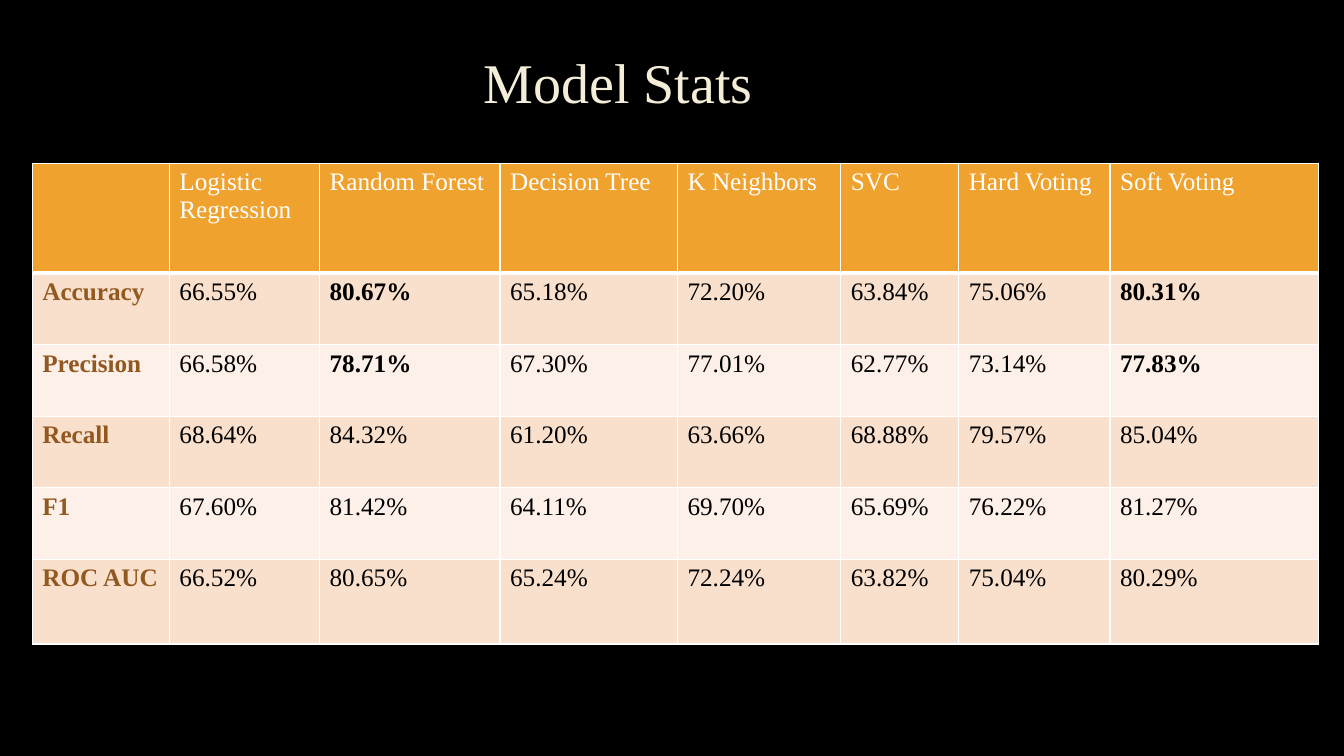
from dataclasses import dataclass

from lxml import etree
from pptx import Presentation
from pptx.dml.color import RGBColor
from pptx.enum import text
from pptx.oxml import ns
from pptx.util import Inches, Pt

BLACK = RGBColor(0x00, 0x00, 0x00)
WHITE = RGBColor(0xFF, 0xFF, 0xFF)
CREAM = RGBColor(0xF4, 0xED, 0xD8)
ORANGE = RGBColor(0xF0, 0xA2, 0x2E)
BROWN = RGBColor(0x91, 0x58, 0x1F)
PEACH = RGBColor(0xF9, 0xE0, 0xCD)
PALE_PEACH = RGBColor(0xFC, 0xF0, 0xE8)

FONT = "Times New Roman"
COLUMN_WIDTHS = (1.36, 1.49, 1.79, 1.76, 1.62, 1.17, 1.5, 2.07)
ROW_HEIGHTS = (1.09, 0.71, 0.71, 0.71, 0.71, 0.84)
MODELS = ("Logistic Regression", "Random Forest", "Decision Tree", "K Neighbors",
          "SVC", "Hard Voting", "Soft Voting")


@dataclass(frozen=True)
class Metric:
    name: str
    scores: tuple[float, ...]
    highlighted: tuple[str, ...] = ()


BEST_MODELS = ("Random Forest", "Soft Voting")
METRICS = (
    Metric("Accuracy", (66.55, 80.67, 65.18, 72.20, 63.84, 75.06, 80.31), BEST_MODELS),
    Metric("Precision", (66.58, 78.71, 67.30, 77.01, 62.77, 73.14, 77.83), BEST_MODELS),
    Metric("Recall", (68.64, 84.32, 61.20, 63.66, 68.88, 79.57, 85.04)),
    Metric("F1", (67.60, 81.42, 64.11, 69.70, 65.69, 76.22, 81.27)),
    Metric("ROC AUC", (66.52, 80.65, 65.24, 72.24, 63.82, 75.04, 80.29)),
)


def write_text(paragraph, content: str, color: RGBColor, size: float, bold: bool = False) -> None:
    run = paragraph.add_run()
    run.text = content
    for name, value in {"name": FONT, "size": Pt(size), "bold": bold}.items():
        setattr(run.font, name, value)
    run.font.color.rgb = color


def set_borders(cell, bottom_width: float) -> None:
    """Give the cell white one-point borders, with its own width at the bottom."""
    properties = cell._tc.get_or_add_tcPr()
    widths = {"a:lnL": 1, "a:lnR": 1, "a:lnT": 1, "a:lnB": bottom_width}
    for position, (tag, width) in enumerate(widths.items()):
        line = etree.Element(ns.qn(tag), w=str(Pt(width)))
        fill = etree.SubElement(line, ns.qn("a:solidFill"))
        etree.SubElement(fill, ns.qn("a:srgbClr"), val=str(WHITE))
        properties.insert(position, line)


def fill_cell(cell, content: str, fill: RGBColor, color: RGBColor,
              bold: bool = False, bottom_width: float = 1) -> None:
    cell.fill.solid()
    cell.fill.fore_color.rgb = fill
    set_borders(cell, bottom_width)
    write_text(cell.text_frame.paragraphs[0], content, color, 18, bold)


def add_title(slide) -> None:
    title = slide.shapes.title
    box = {"left": 2.86, "top": 0.35, "width": 6.54, "height": 0.99}
    for name, value in box.items():
        setattr(title, name, Inches(value))
    title.text_frame.vertical_anchor = text.MSO_ANCHOR.MIDDLE
    paragraph = title.text_frame.paragraphs[0]
    paragraph.alignment = text.PP_ALIGN.CENTER
    paragraph.line_spacing = 0.9
    write_text(paragraph, "Model Stats", CREAM, 40)


def add_stats_table(slide) -> None:
    table = slide.shapes.add_table(
        len(ROW_HEIGHTS), len(COLUMN_WIDTHS),
        Inches(0.32), Inches(1.62), Inches(12.75), Inches(4.76)).table
    for column, width in zip(table.columns, COLUMN_WIDTHS):
        column.width = Inches(width)
    for row, height in zip(table.rows, ROW_HEIGHTS):
        row.height = Inches(height)

    for column, heading in enumerate(("", *MODELS)):
        fill_cell(table.cell(0, column), heading, ORANGE, WHITE, bottom_width=3)
    for row, metric in enumerate(METRICS, start=1):
        fill = PEACH if row % 2 else PALE_PEACH
        fill_cell(table.cell(row, 0), metric.name, fill, BROWN, bold=True)
        for column, (model, score) in enumerate(zip(MODELS, metric.scores), start=1):
            fill_cell(table.cell(row, column), f"{score:.2f}%", fill, BLACK,
                      bold=model in metric.highlighted)


def main() -> None:
    presentation = Presentation()
    presentation.slide_width = Inches(13.33)
    presentation.slide_height = Inches(7.5)
    slide = presentation.slides.add_slide(presentation.slide_layouts.get_by_name("Title Only"))
    slide.background.fill.solid()
    slide.background.fill.fore_color.rgb = BLACK
    add_title(slide)
    add_stats_table(slide)
    presentation.save("out.pptx")


if __name__ == "__main__":
    main()
